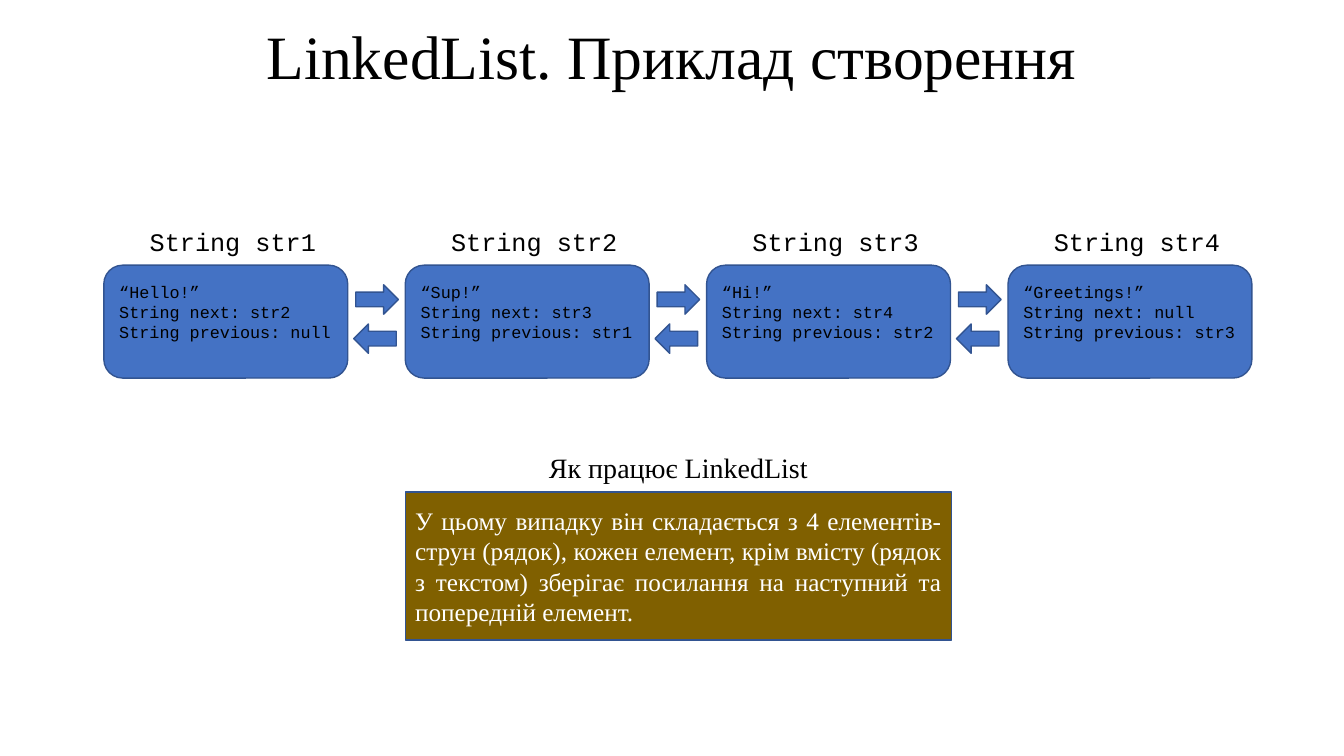
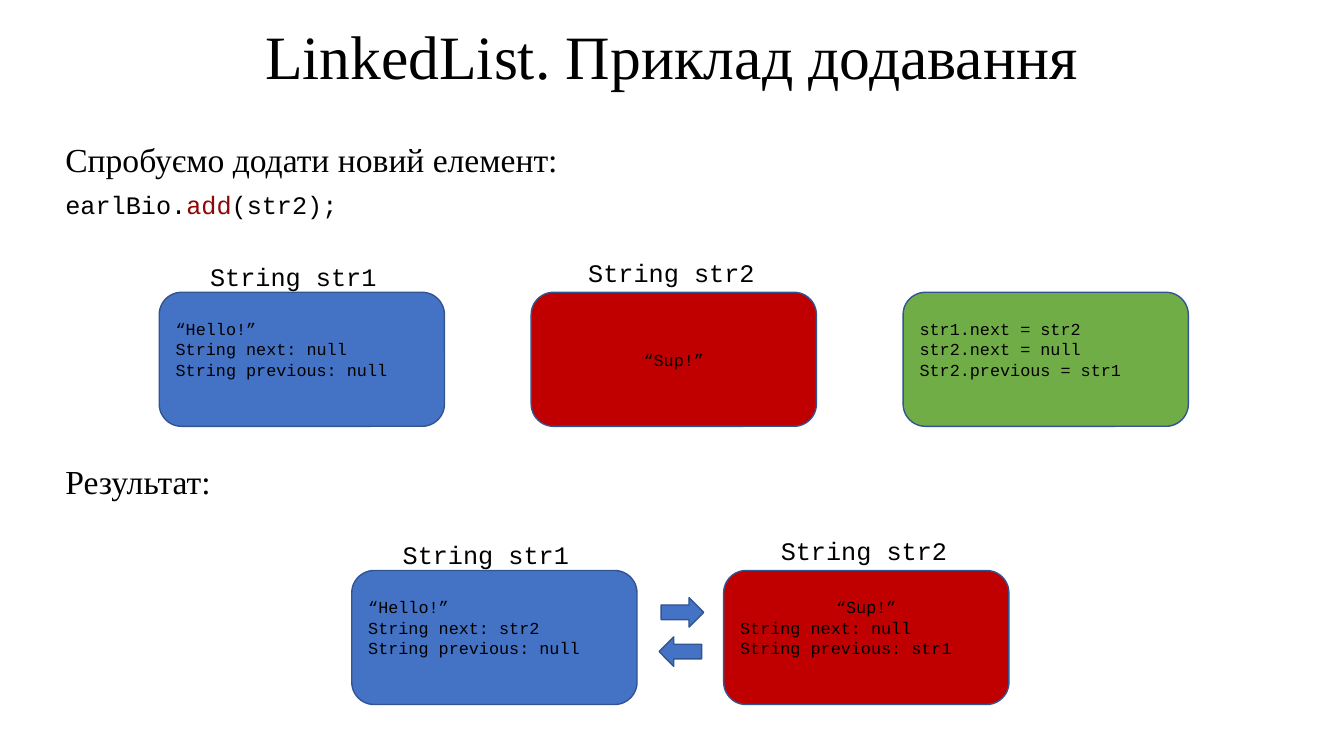
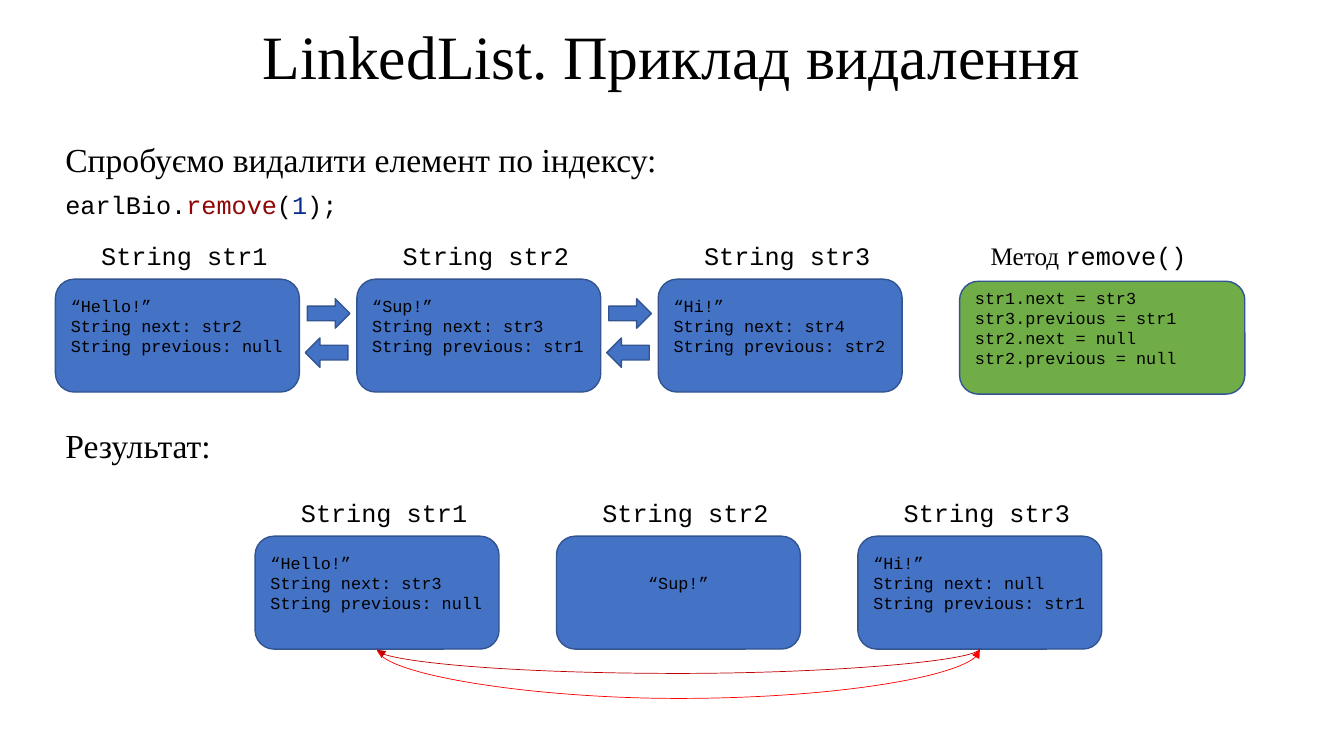
from lxml.etree import SubElement
from pptx import Presentation
from pptx.dml.color import RGBColor
from pptx.enum.shapes import MSO_CONNECTOR, MSO_SHAPE
from pptx.enum.text import MSO_ANCHOR, MSO_AUTO_SIZE, PP_ALIGN
from pptx.oxml.ns import qn
from pptx.util import Pt

COLORS = {
    "black": "000000", "white": "FFFFFF", "blue": "4472C4", "outline": "325491",
    "red": "C00000", "bright_red": "FF0000", "green": "70AD47", "brown": "806000",
    "method": "900606", "number": "082C8B",
}
SERIF, MONO = "Times New Roman", "Courier New"
SMALL, LARGE = (174.24, 80.64), (203.76, 95.76)  # node sizes
PITCH, WIDE_PITCH = 215.28, 265.68               # node to node
MARGIN = 39.6
SPARE_LINE = 14.4                                # room kept below node text


def rgb(name):
    return RGBColor.from_string(COLORS[name])


def node_lines(value, following=None, previous=None):
    """Lines of one list node; an unlinked node shows its value only."""
    lines = [f"“{value}”"]
    if following:
        lines += [f"String next: {following}", f"String previous: {previous}"]
    return lines


class Deck:
    def __init__(self):
        self.prs = Presentation()
        self.prs.slide_width, self.prs.slide_height = Pt(960), Pt(540)
        self.s = None

    def slide(self, title):
        self.s = self.prs.slides.add_slide(self.prs.slide_layouts[5])
        sp = self.s.shapes.title
        sp.left, sp.top, sp.width, sp.height = Pt(0), Pt(0), Pt(960), Pt(85.7)
        tf = sp.text_frame
        tf.auto_size = MSO_AUTO_SIZE.NONE
        tf.vertical_anchor = MSO_ANCHOR.MIDDLE
        p = tf.paragraphs[0]
        p.line_spacing = 0.9
        self.add_runs(p, [(title,)], 44, SERIF, align=PP_ALIGN.CENTER)

    def add_runs(self, p, runs, size, font, color="black", align=PP_ALIGN.LEFT):
        """Each run is (text, colour, font); the last two are optional."""
        p.alignment = align
        for text, *own in runs:
            r = p.add_run()
            r.text = text
            r.font.size = Pt(size)
            r.font.color.rgb = rgb(own[0] if own else color)
            r.font.name = own[1] if len(own) > 1 else font

    def text(self, x, y, w, h, runs, size, font, align=PP_ALIGN.LEFT):
        sp = self.s.shapes.add_textbox(Pt(x), Pt(y), Pt(w), Pt(h))
        tf = sp.text_frame
        tf.word_wrap = True
        tf.auto_size = MSO_AUTO_SIZE.SHAPE_TO_FIT_TEXT
        self.add_runs(tf.paragraphs[0], runs, size, font, align=align)

    def heading(self, y, text):
        self.text(MARGIN, y, 504, 36, [(text,)], 24, SERIF)

    def code(self, runs):
        self.text(MARGIN, 131.8, 479.5, 29, runs, 18, MONO)

    def label(self, x, y, *runs):
        self.text(x, y, SMALL[0], 29, runs, 18, MONO, PP_ALIGN.CENTER)

    def shape(self, kind, x, y, w, h, fill="blue"):
        sp = self.s.shapes.add_shape(kind, Pt(x), Pt(y), Pt(w), Pt(h))
        sp.shadow.inherit = False
        sp.fill.solid()
        sp.fill.fore_color.rgb = rgb(fill)
        sp.line.color.rgb = rgb("outline")
        sp.line.width = Pt(1)
        return sp

    def node(self, x, y, size, lines, fill="blue", spare=True, center_first=False):
        sp = self.shape(MSO_SHAPE.ROUNDED_RECTANGLE, x, y, *size, fill)
        tf = sp.text_frame
        tf.vertical_anchor = MSO_ANCHOR.MIDDLE
        tf.margin_bottom = Pt(3.6 + SPARE_LINE * spare)
        for i, line in enumerate(lines):
            p = tf.add_paragraph() if i else tf.paragraphs[0]
            centered = i == 0 and (center_first or len(lines) == 1)
            self.add_runs(p, [(line,)], 12, MONO,
                          align=PP_ALIGN.CENTER if centered else PP_ALIGN.LEFT)

    def arrow_pair(self, x, y):
        self.shape(MSO_SHAPE.RIGHT_ARROW, x, y, 30.4, 21)
        self.shape(MSO_SHAPE.LEFT_ARROW, x - 1.5, y + 28, 30.4, 21)

    def chain(self, x, y, nodes, linked=True):
        """A row of labelled small nodes, with arrows between neighbours."""
        for i, node in enumerate(nodes):
            left = x + i * PITCH
            self.node(left, y, SMALL, node_lines(*node))
            self.label(left + 5, y - 31, (f"String str{i + 1}",))
            if linked and i:
                self.arrow_pair(left - PITCH + 180, y + 14)

    def panel(self, x, y, w, h, text):
        tf = self.shape(MSO_SHAPE.RECTANGLE, x, y, w, h, "brown").text_frame
        tf.vertical_anchor = MSO_ANCHOR.MIDDLE
        self.add_runs(tf.paragraphs[0], [(text,)], 18, SERIF, "white", PP_ALIGN.JUSTIFY)

    def arc(self, x1, x2, y, depth, color, to_left):
        """A curved arrow sagging below y: a 1 pt wide connector turned on its side."""
        mid, half = (x1 + x2) / 2, (x2 - x1) / 2
        start, end = (mid - 0.5, mid + 0.5) if to_left else (mid + 0.5, mid - 0.5)
        c = self.s.shapes.add_connector(MSO_CONNECTOR.CURVE, Pt(start), Pt(y - half),
                                        Pt(end), Pt(y + half))
        c.line.color.rgb = rgb(color)
        c.line.width = Pt(0.5)
        sppr = c.element.spPr
        sppr.find(qn("a:xfrm")).set("rot", str((90 if to_left else 270) * 60000))
        guides = sppr.find(qn("a:prstGeom")).find(qn("a:avLst"))
        SubElement(guides, qn("a:gd"), name="adj1", fmla=f"val {depth * 100000}")
        SubElement(sppr.find(qn("a:ln")), qn("a:tailEnd"), type="triangle")
        SubElement(sppr, qn("a:effectLst"))


def creation(d):
    d.slide("LinkedList. Приклад створення")
    d.chain(74.16, 189.4, [("Hello!", "str2", "null"), ("Sup!", "str3", "str1"),
                           ("Hi!", "str4", "str2"), ("Greetings!", "null", "str3")])
    x, w = 289.44, 390.24
    d.text(x, 318.2, w, 31.7, [("Як працює LinkedList",)], 20, SERIF, PP_ALIGN.CENTER)
    d.panel(x, 351.4, w, 105.8,
            "У цьому випадку він складається з 4 елементів-струн (рядок), кожен елемент, "
            "крім вмісту (рядок з текстом) зберігає посилання на наступний та попередній "
            "елемент.")


def adding(d):
    d.slide("LinkedList. Приклад додавання")
    d.heading(95.8, "Спробуємо додати новий елемент:")
    d.code([("earlBio.",), ("add", "method"), ("(str2);",)])

    # Both rows start with str1 and str2
    rows = [(113.76, 208.8, ("Hello!", "null", "null"), ("Sup!",)),
            (251.28, 407.5, ("Hello!", "str2", "null"), ("Sup!", "null", "str1"))]
    for x, y, first, second in rows:
        d.node(x, y, LARGE, node_lines(*first))
        d.node(x + WIDE_PITCH, y, LARGE, node_lines(*second), "red",
               spare=len(second) > 1, center_first=True)
        d.label(x + 8.6, y - 25.9, ("String str1",))
        d.label(x + WIDE_PITCH + 13, y - 28.8, ("String str2",))

    # Assignments, then the links of the result
    x, y = rows[0][:2]
    d.node(x + 2 * WIDE_PITCH, y, LARGE,
           ["str1.next = str2", "str2.next = null", "Str2.previous = str1"], "green")
    x, y = rows[1][:2]
    d.arrow_pair(x + 221, y + 19.4)
    d.heading(325.4, "Результат:")


def removal(d):
    d.slide("LinkedList. Приклад видалення")
    d.heading(95.8, "Спробуємо видалити елемент по індексу:")
    d.code([("earlBio.",), ("remove", "method"), ("(",), ("1", "number"), (");",)])

    # List before the call, and what the method does
    d.chain(MARGIN, 199.4, [("Hello!", "str2", "null"), ("Sup!", "str3", "str1"),
                            ("Hi!", "str4", "str2")])
    x = MARGIN + 3 * PITCH
    d.node(x, 200.9, (LARGE[0], SMALL[1]),
           ["str1.next = str3", "str3.previous = str1",
            "str2.next = null", "str2.previous = null"], "green")
    d.label(x + 5, 168.4, ("Метод ", "black", SERIF), ("remove()",))

    # Result
    d.heading(300.2, "Результат:")
    x, y = 182.2, 383
    d.chain(x, y, [("Hello!", "str3", "null"), ("Sup!",), ("Hi!", "null", "str1")],
            linked=False)
    first = x + SMALL[0] / 2
    last, bottom = first + 2 * PITCH, y + SMALL[1]
    d.arc(first, last, bottom, 18, "red", to_left=True)
    d.arc(first, last, bottom, 36, "bright_red", to_left=False)


def main():
    d = Deck()
    for build in (creation, adding, removal):
        build(d)
    d.prs.save("out.pptx")


if __name__ == "__main__":
    main()
